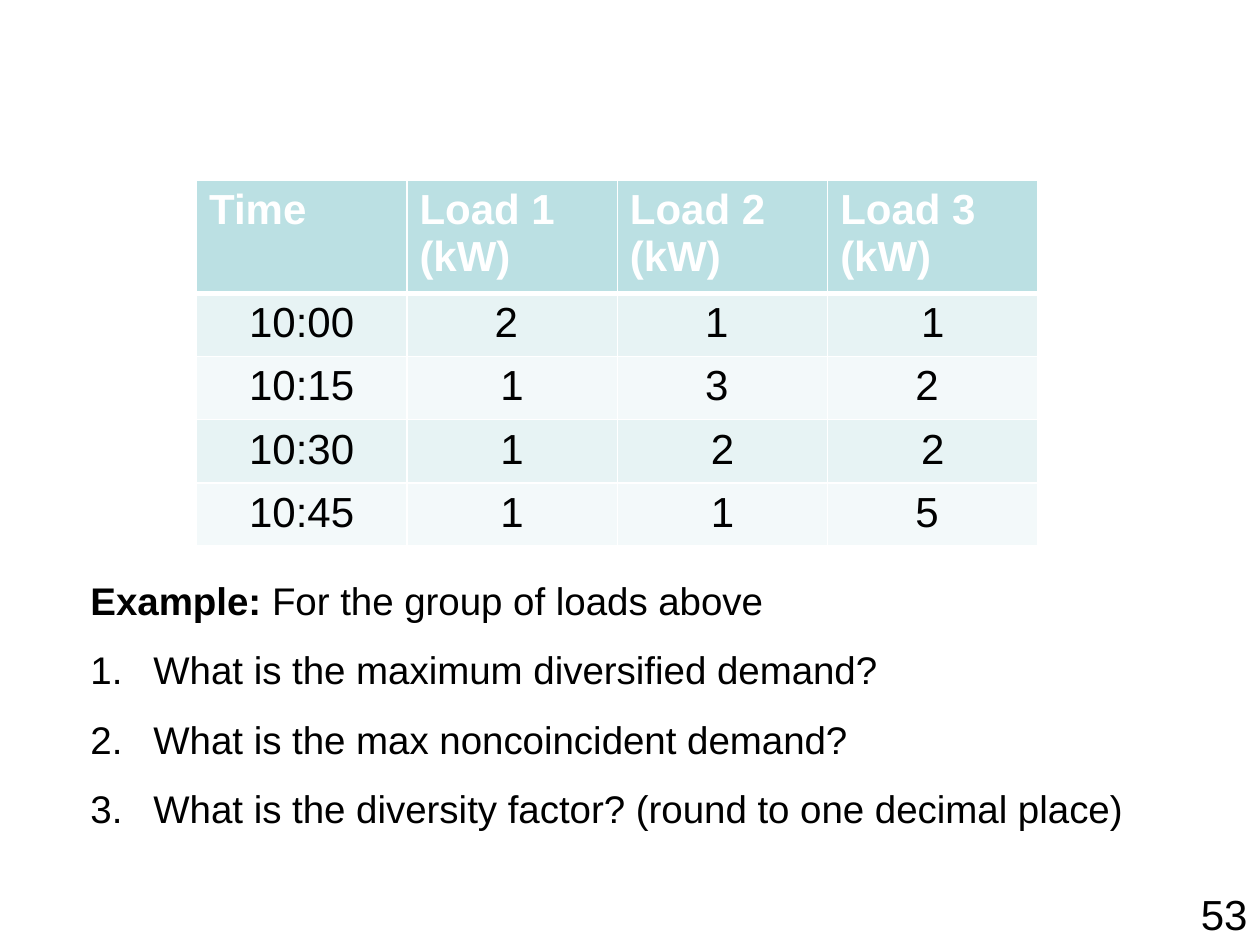
from lxml import etree
from pptx import Presentation
from pptx.dml.color import RGBColor
from pptx.enum.text import MSO_AUTO_SIZE, PP_ALIGN
from pptx.oxml.ns import qn
from pptx.util import Inches, Pt

CENTER, RIGHT = PP_ALIGN.CENTER, PP_ALIGN.RIGHT
GROW = MSO_AUTO_SIZE.SHAPE_TO_FIT_TEXT

THEME = {
    "font": "Arial", "text": "000000", "header_text": "FFFFFF",
    "header": "BBE0E3", "bands": ("E7F3F4", "F3F9FA"), "rule": "FFFFFF",
    "table_size": 24, "body_size": 22, "number_size": 24,
}

LOADS = [
    ("Time", "Load 1 (kW)", "Load 2 (kW)", "Load 3 (kW)"),
    ("10:00", "2 ", "1 ", "1"),
    ("10:15", "1", "3 ", "2 "),
    ("10:30", "1", "2", "2"),
    ("10:45", "1", "1", "5 "),
]
INTRO = ("Example: ", "For the group of loads above")
QUESTIONS = [
    "What is the maximum diversified demand?",
    "What is the max noncoincident demand?",
    "What is the diversity factor? (round to one decimal place)",
]
PAGE_NUMBER = "53"

COLUMN_WIDTH = 1.67
HEADER_HEIGHT, ROW_HEIGHT = 0.83, 0.47


def style_runs(paragraph, size, color=THEME["text"], bold=False):
    for run in paragraph.runs:
        run.font.name = THEME["font"]
        run.font.size = Pt(size)
        run.font.bold = bold
        run.font.color.rgb = RGBColor.from_string(color)


def add_text_frame(slide, left, top, width, height):
    box = slide.shapes.add_textbox(
        Inches(left), Inches(top), Inches(width), Inches(height))
    box.text_frame.word_wrap = True
    return box.text_frame


def set_borders(cell, widths):
    """Draw the left, right, top and bottom rules, widths in points."""
    properties = cell._tc.get_or_add_tcPr()
    for index, (side, width) in enumerate(zip("LRTB", widths)):
        line = etree.Element(qn(f"a:ln{side}"), w=str(Pt(width)))
        fill = etree.SubElement(line, qn("a:solidFill"))
        etree.SubElement(fill, qn("a:srgbClr"), val=THEME["rule"])
        properties.insert(index, line)


def add_load_table(slide):
    rows, columns = len(LOADS), len(LOADS[0])
    height = HEADER_HEIGHT + ROW_HEIGHT * (rows - 1)
    table = slide.shapes.add_table(
        rows, columns, Inches(1.56), Inches(1.43),
        Inches(COLUMN_WIDTH * columns), Inches(height)).table
    for column in table.columns:
        column.width = Inches(COLUMN_WIDTH)
    for r, values in enumerate(LOADS):
        header = r == 0
        table.rows[r].height = Inches(HEADER_HEIGHT if header else ROW_HEIGHT)
        fill = THEME["header"] if header else THEME["bands"][(r - 1) % 2]
        for c, value in enumerate(values):
            cell = table.cell(r, c)
            cell.text_frame.text = value
            paragraph = cell.text_frame.paragraphs[0]
            if not header:
                paragraph.alignment = CENTER
            style_runs(paragraph, THEME["table_size"],
                       THEME["header_text" if header else "text"], header)
            cell.fill.solid()
            cell.fill.fore_color.rgb = RGBColor.from_string(fill)
            set_borders(cell, (1, 1, 3 if r == 1 else 1, 3 if header else 1))


def set_indent(paragraph, margin, indent):
    properties = paragraph._p.get_or_add_pPr()
    properties.set("marL", str(Inches(margin)))
    properties.set("indent", str(Inches(indent)))
    return properties


def add_example(slide):
    frame = add_text_frame(slide, 0.12, 4.53, 9.54, 2.09)
    frame.auto_size = GROW
    intro = frame.paragraphs[0]
    for part in INTRO:
        intro.add_run().text = part
    set_indent(intro, 0.5, 0)
    for question in QUESTIONS:
        paragraph = frame.add_paragraph()
        paragraph.text = question
        properties = set_indent(paragraph, 1, -0.5)
        etree.SubElement(properties, qn("a:buFont"), typeface=THEME["font"])
        etree.SubElement(properties, qn("a:buAutoNum"), type="arabicPeriod")
        paragraph.space_before = Pt(6.6)
    for paragraph in frame.paragraphs:
        paragraph.level = 1
        paragraph.space_after = Pt(6.6)
        style_runs(paragraph, THEME["body_size"])
    intro.runs[0].font.bold = True


def add_page_number(slide):
    frame = add_text_frame(slide, 9.08, 7, 0.92, 0.5)
    frame.text = PAGE_NUMBER
    frame.paragraphs[0].alignment = RIGHT
    style_runs(frame.paragraphs[0], THEME["number_size"])


def main():
    deck = Presentation()
    deck.slide_width, deck.slide_height = Inches(10), Inches(7.5)
    slide = deck.slides.add_slide(deck.slide_layouts.get_by_name("Blank"))
    add_page_number(slide)
    add_load_table(slide)
    add_example(slide)
    deck.save("out.pptx")


if __name__ == "__main__":
    main()
